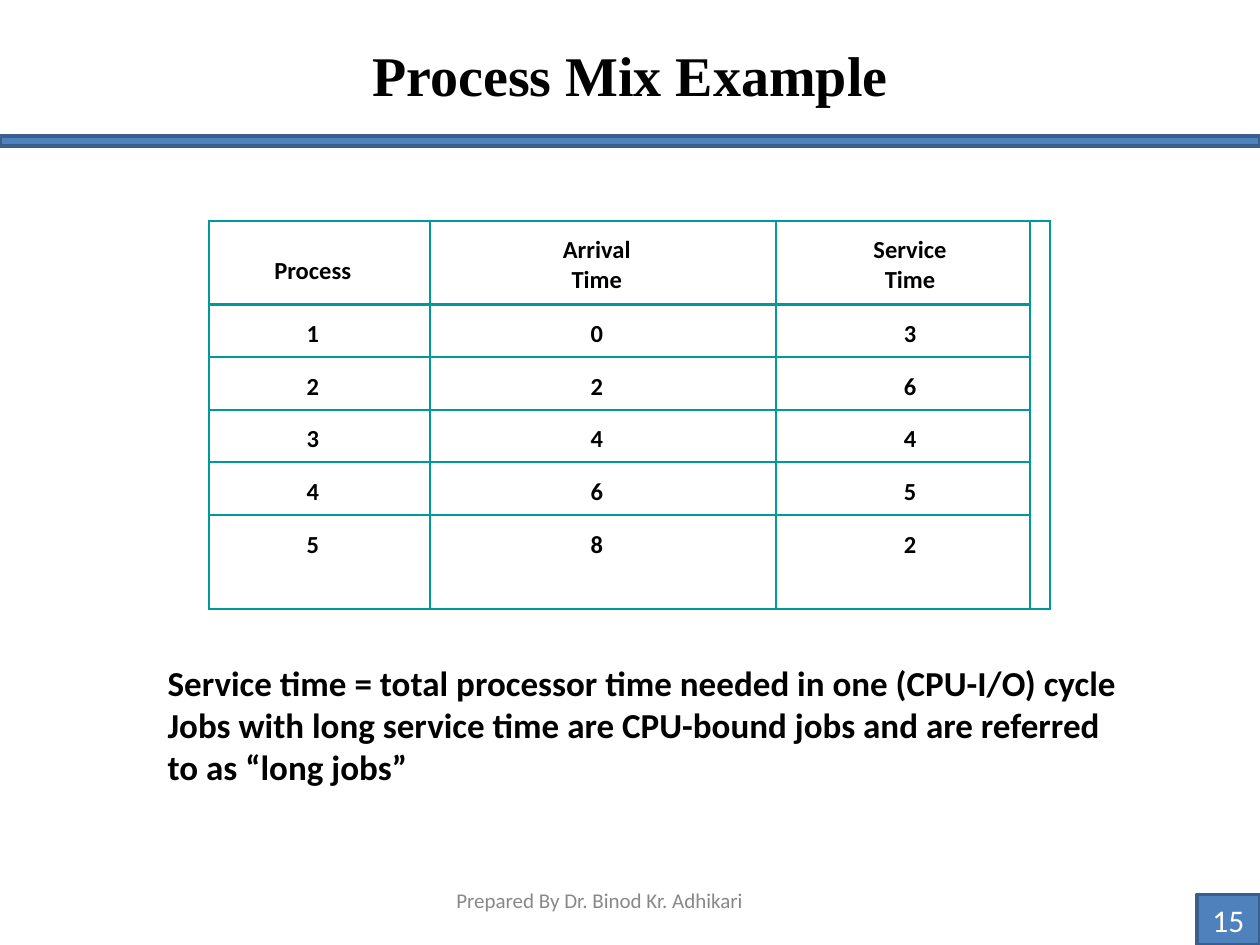
from dataclasses import dataclass
from typing import Any

from lxml import etree
from pptx import Presentation
from pptx.dml.color import RGBColor
from pptx.enum import shapes, text
from pptx.oxml import ns
from pptx.util import Cm, Pt


@dataclass(frozen=True)
class Theme:
    """Colours, fonts and type sizes of the slide."""
    ink: str = "000000"
    white: str = "FFFFFF"
    muted: str = "888888"
    bar: str = "4F81BD"
    edge: str = "3A5F8C"
    grid: str = "009999"
    serif: str = "Times New Roman"
    sans: str = "Calibri"
    title: int = 32
    body: int = 20
    number: int = 18
    cell: int = 14
    footer: int = 12


@dataclass(frozen=True)
class Box:
    """Position and size in centimetres."""
    left: float
    top: float
    width: float
    height: float

    def emu(self) -> tuple[int, ...]:
        """Return the four lengths for python-pptx."""
        return tuple(Cm(v) for v in (self.left, self.top, self.width, self.height))


@dataclass(frozen=True)
class Column:
    """Table column with its text and side margins in centimetres."""
    width: float
    texts: tuple[str, ...]
    margin_left: float = 0
    margin_right: float = 0
    head_top: float = 0.3


THEME = Theme()
COLUMNS = (
    Column(4.45, ("Process", "1", "2", "3", "4", "5"), margin_right=0.28, head_top=0.71),
    Column(6.98, ("Arrival\vTime", "0", "2", "4", "6", "8"), margin_right=0.26),
    Column(5.11, ("Service\vTime", "3", "6", "4", "5", "2"), margin_left=0.28),
    Column(0.41, ("",) * 6),
)
ROW_HEIGHTS = (1.69,) + (1.06,) * 4 + (1.89,)


def set_all(target: Any, values: dict[str, Any]) -> None:
    """Set every attribute listed in values."""
    for name, value in values.items():
        setattr(target, name, value)


def write(tf: Any, words: str, size: int, color: str, font: str = THEME.sans,
          bold: bool = False, align: Any = text.PP_ALIGN.LEFT) -> Any:
    """Write one formatted paragraph into a text frame."""
    tf.text = words
    p = tf.paragraphs[0]
    p.alignment = align
    for r in p.runs:
        set_all(r.font, {"name": font, "size": Pt(size), "bold": bold})
        r.font.color.rgb = RGBColor.from_string(color)
    return p


def set_frame(tf: Any, top: float = 0) -> None:
    """Give a text frame wrapping, a top anchor and no side margins."""
    set_all(tf, {"word_wrap": True, "auto_size": text.MSO_AUTO_SIZE.NONE,
                 "vertical_anchor": text.MSO_ANCHOR.TOP, "margin_left": 0,
                 "margin_right": 0, "margin_bottom": 0, "margin_top": Cm(top)})


def add_bar(s: Any, box: Box) -> Any:
    """Add a filled and outlined rectangle."""
    sp = s.shapes.add_shape(shapes.MSO_SHAPE.RECTANGLE, *box.emu())
    sp.shadow.inherit = False
    sp.fill.solid()
    sp.fill.fore_color.rgb = RGBColor.from_string(THEME.bar)
    sp.line.color.rgb = RGBColor.from_string(THEME.edge)
    sp.line.width = Pt(2)
    return sp


def add_text(s: Any, box: Box, words: str, size: int, color: str, bold: bool = False) -> Any:
    """Add a text box and return its paragraph."""
    tf = s.shapes.add_textbox(*box.emu()).text_frame
    set_frame(tf)
    return write(tf, words, size, color, bold=bold)


def set_borders(cell: Any) -> None:
    """Outline all four sides of a table cell."""
    props = cell._tc.get_or_add_tcPr()
    for i, side in enumerate(("lnL", "lnR", "lnT", "lnB")):
        ln = etree.Element(ns.qn(f"a:{side}"), w=str(Pt(1.5)))
        fill = etree.SubElement(ln, ns.qn("a:solidFill"))
        etree.SubElement(fill, ns.qn("a:srgbClr"), val=THEME.grid)
        props.insert(i, ln)


def add_process_table(s: Any, box: Box) -> None:
    """Add the process table with its narrow merged end column."""
    table = s.shapes.add_table(len(ROW_HEIGHTS), len(COLUMNS), *box.emu()).table
    set_all(table, {"first_row": False, "horz_banding": False})
    for row, height in zip(table.rows, ROW_HEIGHTS):
        row.height = Cm(height)
    for c, column in enumerate(COLUMNS):
        table.columns[c].width = Cm(column.width)
        for r, words in enumerate(column.texts):
            cell = table.cell(r, c)
            set_all(cell, {"margin_left": Cm(column.margin_left),
                           "margin_right": Cm(column.margin_right),
                           "margin_top": Cm(0.3 if r else column.head_top),
                           "margin_bottom": 0})
            cell.fill.background()
            set_borders(cell)
            if words:
                write(cell.text_frame, words, THEME.cell, THEME.ink, bold=True,
                      align=text.PP_ALIGN.CENTER)
    last = len(COLUMNS) - 1
    table.cell(0, last).merge(table.cell(len(ROW_HEIGHTS) - 1, last))


def main() -> None:
    """Build and save the slide."""
    prs = Presentation()
    set_all(prs, {"slide_width": Cm(25.4), "slide_height": Cm(19.05)})
    s = prs.slides.add_slide(prs.slide_layouts[5])

    add_bar(s, Box(0, 2.74, 25.4, 0.2))
    number = add_bar(s, Box(24.13, 18.03, 1.27, 1.02))
    number.text_frame.vertical_anchor = text.MSO_ANCHOR.MIDDLE
    write(number.text_frame, "15", THEME.number, THEME.white, align=text.PP_ALIGN.CENTER)

    title = s.shapes.title
    title.left, title.top, title.width, title.height = Box(6.05, 0.64, 13.31, 1.93).emu()
    set_frame(title.text_frame, top=0.18)
    write(title.text_frame, "Process Mix Example", THEME.title, THEME.ink, THEME.serif,
          True, text.PP_ALIGN.CENTER)

    add_process_table(s, Box(4.22, 4.45, 16.95, 7.82))
    add_text(s, Box(3.38, 13.34, 19.3, 2.62),
             "Service time = total processor time needed in one (CPU-I/O) cycle "
             "Jobs with long service time are CPU-bound jobs and are referred "
             "to as “long jobs”", THEME.body, THEME.ink, bold=True)
    footer = add_text(s, Box(9.2, 17.96, 7.06, 1.09), "Prepared By Dr. Binod Kr. Adhikari",
                      THEME.footer, THEME.muted)
    footer.line_spacing = Pt(12.4)

    prs.save("out.pptx")


if __name__ == "__main__":
    main()
